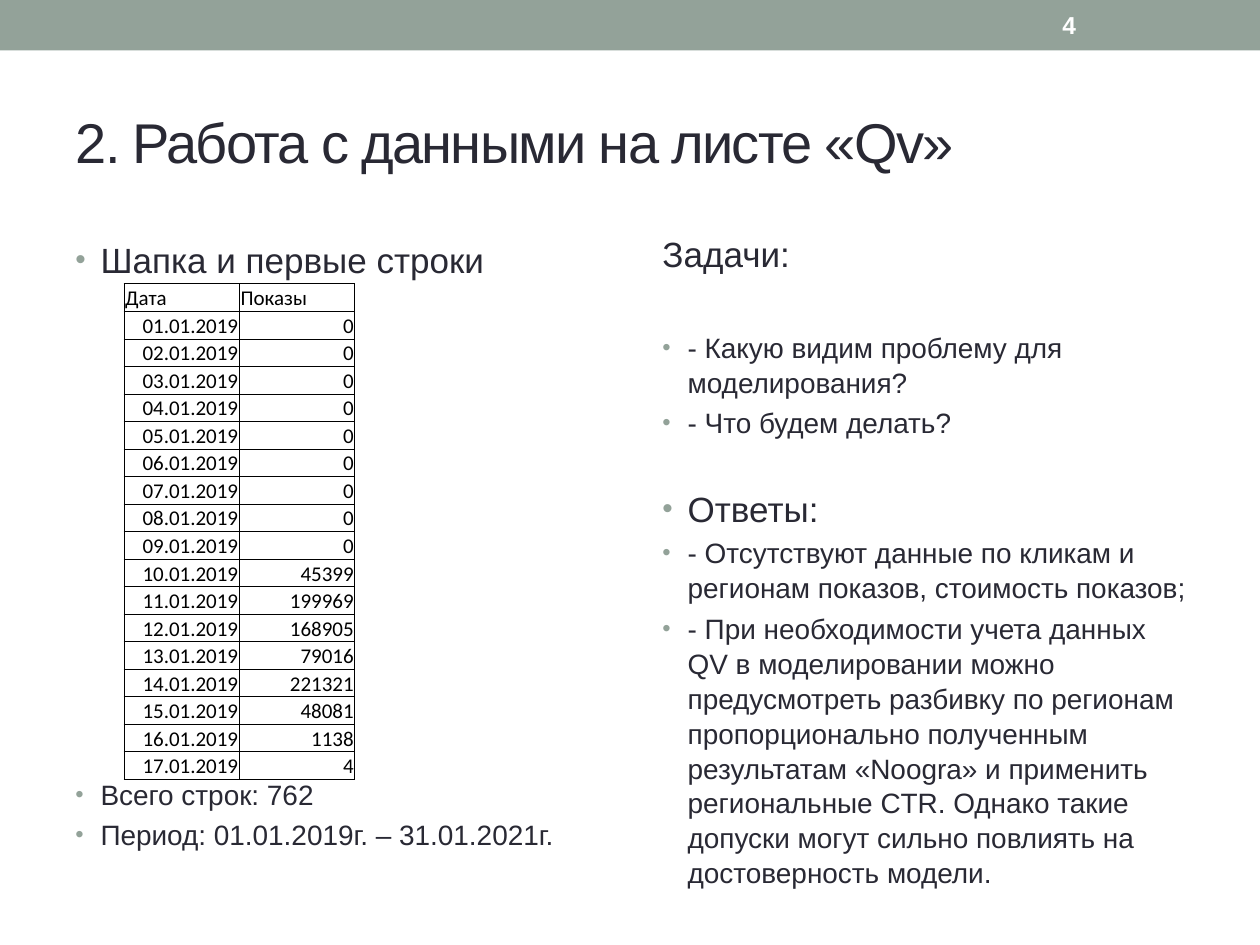
from lxml.etree import SubElement
from pptx import Presentation
from pptx.dml.color import RGBColor
from pptx.enum.shapes import MSO_SHAPE
from pptx.enum.text import MSO_ANCHOR, MSO_AUTO_SIZE, PP_ALIGN
from pptx.oxml.ns import qn
from pptx.util import Pt

COLORS = {"accent": "93A299", "text": "292934", "white": "FFFFFF", "black": "000000"}
LARGE, SMALL = 20, 16
HANG = 14.4
IMPRESSIONS = [0] * 9 + [45399, 199969, 168905, 79016, 221321, 48081, 1138, 4]

# Each entry: text, size, bulleted, extra gap above
SUMMARY = [
    ("Шапка и первые строки", LARGE, True, 0),
    ("Всего строк: 762", SMALL, True, 280),
    ("Период: 01.01.2019г. – 31.01.2021г.", SMALL, True, 0),
]
TASKS = [
    ("Задачи:", LARGE, False, 0),
    ("- Какую видим проблему для моделирования?", SMALL, True, 28),
    ("- Что будем делать?", SMALL, True, 0),
    ("Ответы:", LARGE, True, 22.4),
    ("- Отсутствуют данные по кликам и регионам показов, стоимость показов;", SMALL, True, 0),
    ("- При необходимости учета данных QV в моделировании можно предусмотреть "
     "разбивку по регионам пропорционально полученным результатам «Noogra» и "
     "применить региональные CTR. Однако такие допуски могут сильно повлиять на "
     "достоверность модели.", SMALL, True, 0),
]


def rgb(name):
    return RGBColor.from_string(COLORS[name])


def points(box):
    return [Pt(length) for length in box]


def set_all(target, **values):
    for name, value in values.items():
        setattr(target, name, value)


def add_span(para, text, size, color, font="Arial", bold=False):
    span = para.add_run()
    span.text = text
    set_all(span.font, name=font, size=Pt(size), bold=bold)
    span.font.color.rgb = rgb(color)
    return span


def add_bullet(para):
    properties = para._p.get_or_add_pPr()
    properties.set("marL", str(Pt(HANG)))
    properties.set("indent", str(-Pt(HANG)))
    color = SubElement(properties, qn("a:buClr"))
    SubElement(color, qn("a:srgbClr"), val=COLORS["accent"])
    SubElement(properties, qn("a:buSzPct"), val="85000")
    SubElement(properties, qn("a:buFont"), typeface="Arial")
    SubElement(properties, qn("a:buChar"), char="•")


def add_header(page, box, number):
    """Draw the top band with the page number near its right end."""
    left, top, width, height = box
    band = page.shapes.add_shape(MSO_SHAPE.RECTANGLE, *points(box))
    band.shadow.inherit = False
    band.fill.solid()
    band.fill.fore_color.rgb = rgb("accent")
    band.line.fill.background()
    label = page.shapes.add_textbox(
        *points((left + width - 120, top + 1.4, 84, height - 2.8)))
    set_all(label.text_frame, word_wrap=True, vertical_anchor=MSO_ANCHOR.MIDDLE)
    add_span(label.text_frame.paragraphs[0], number, 14, "white", bold=True)


def place_title(page, box, text):
    title = page.shapes.title
    set_all(title, **dict(zip(("left", "top", "width", "height"), points(box))))
    set_all(title.text_frame, word_wrap=True, auto_size=MSO_AUTO_SIZE.NONE,
            vertical_anchor=MSO_ANCHOR.MIDDLE)
    para = title.text_frame.paragraphs[0]
    para.alignment = PP_ALIGN.LEFT
    span = add_span(para, text, 32, "text")
    span.font._element.set("spc", "-100")


def add_column(page, box, entries):
    frame = page.shapes.add_textbox(*points(box)).text_frame
    set_all(frame, word_wrap=True, auto_size=MSO_AUTO_SIZE.NONE)
    for index, (text, size, bulleted, gap) in enumerate(entries):
        para = frame.add_paragraph() if index else frame.paragraphs[0]
        set_all(para, line_spacing=1.04, space_before=Pt(size * 0.2 + gap))
        if bulleted:
            add_bullet(para)
        add_span(para, text, size, "text")


def add_borders(cell):
    properties = cell._tc.get_or_add_tcPr()
    for position, side in enumerate(("a:lnL", "a:lnR", "a:lnT", "a:lnB")):
        line = properties.makeelement(qn(side), {"w": str(Pt(0.5))})
        fill = SubElement(line, qn("a:solidFill"))
        SubElement(fill, qn("a:srgbClr"), val=COLORS["black"])
        properties.insert(position, line)


def add_impressions(page, box):
    """Draw the table of daily impressions with equal rows and columns."""
    rows = [("Дата", "Показы")]
    rows += [(f"{day:02}.01.2019", str(count)) for day, count in enumerate(IMPRESSIONS, 1)]
    table = page.shapes.add_table(len(rows), 2, *points(box)).table
    set_all(table, first_row=False, horz_banding=False)
    for column in table.columns:
        column.width = Pt(box[2] / 2)
    for row_index, values in enumerate(rows):
        table.rows[row_index].height = Pt(box[3] / len(rows))
        for column_index, text in enumerate(values):
            cell = table.cell(row_index, column_index)
            set_all(cell, margin_left=Pt(0.7), margin_right=Pt(0.7), margin_top=Pt(0.7),
                    margin_bottom=0, vertical_anchor=MSO_ANCHOR.BOTTOM)
            cell.fill.background()
            add_borders(cell)
            para = cell.text_frame.paragraphs[0]
            para.alignment = PP_ALIGN.RIGHT if row_index else PP_ALIGN.LEFT
            add_span(para, text, 12, "black", font="Calibri")


def main():
    deck = Presentation()
    set_all(deck, slide_width=Pt(720), slide_height=Pt(540))
    page = deck.slides.add_slide(deck.slide_layouts[5])
    page.background.fill.solid()
    page.background.fill.fore_color.rgb = rgb("white")
    add_header(page, (0, 0, 720, 28.8), "4")
    place_title(page, (36, 41.8, 648, 77.8), "2. Работа с данными на листе «Qv»")
    add_column(page, (36, 131.8, 318, 371.5), SUMMARY)
    add_impressions(page, (70.8, 162.2, 132, 283.5))
    add_column(page, (371.5, 128.2, 318, 371.5), TASKS)
    deck.save("out.pptx")


if __name__ == "__main__":
    main()
